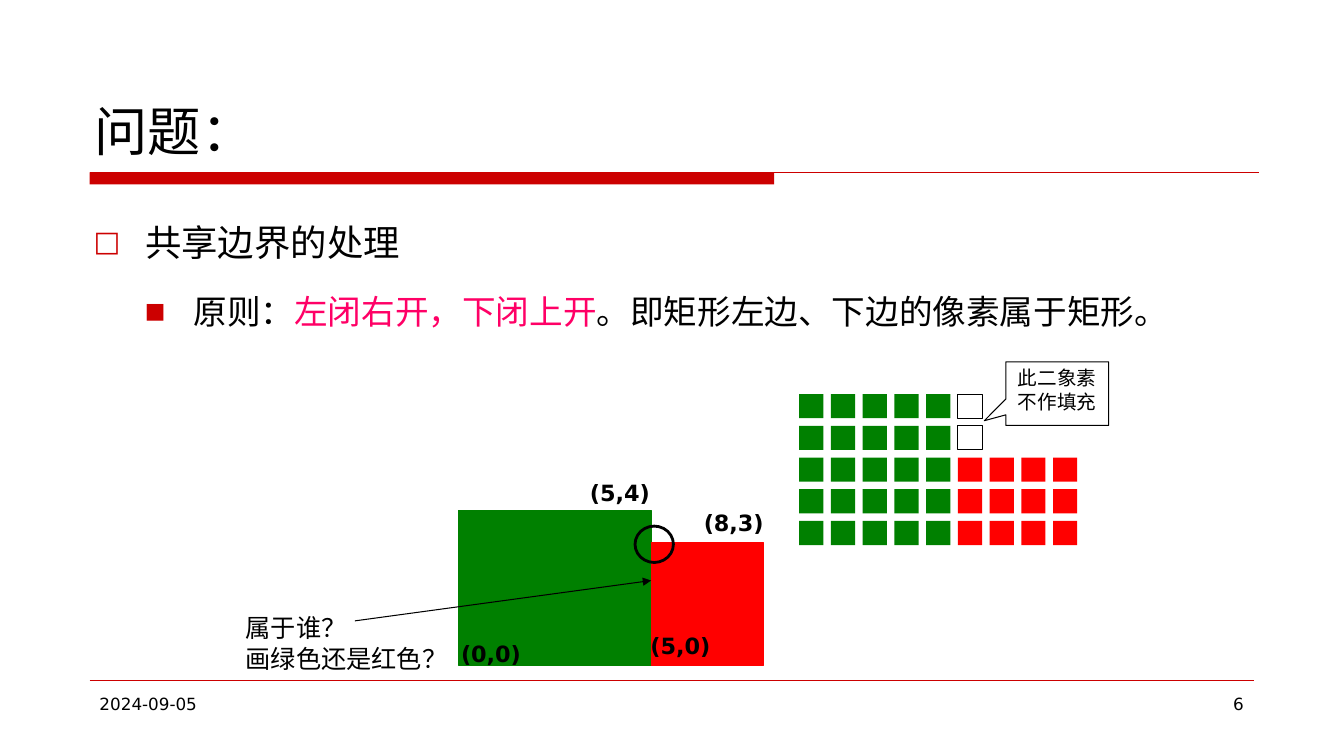
import dataclasses
import pptx
import pptx.util
import pptx.dml.color
import pptx.enum.shapes
import pptx.enum.text
import pptx.oxml
import pptx.oxml.ns
import lxml.etree

Pt = pptx.util.Pt
KIND = pptx.enum.shapes.MSO_SHAPE
ALIGN = pptx.enum.text.PP_ALIGN
ANCHOR = pptx.enum.text.MSO_ANCHOR
qn = pptx.oxml.ns.qn


@dataclasses.dataclass(frozen=True)
class Theme:
    ink: str = "000000"
    paper: str = "FFFFFF"
    rule: str = "CC0000"
    pink: str = "FF0066"
    green: str = "008000"
    red: str = "FF0000"
    sans: str = "DejaVu Sans"
    serif: str = "Times New Roman"
    han: str = "Noto Sans CJK SC"
    title: int = 38
    lead: int = 26
    point: int = 24
    ask: int = 18
    mark: int = 16
    call: int = 14
    foot: int = 12


T = Theme()


def rgb(code):
    return pptx.dml.color.RGBColor.from_string(code)


def put(thing, **values):
    for name, value in values.items():
        setattr(thing, name, value)


def node(parent, tag, **values):
    return lxml.etree.SubElement(parent, qn(tag), **values)


def write(para, text, size, font, color=T.ink, bold=False):
    run = para.add_run()
    run.text = text
    put(run.font, size=Pt(size), name=font, bold=bold)
    run.font.color.rgb = rgb(color)
    node(run.font._element, "a:ea", typeface=T.han)


def label(slide, box, lines, size, font, align=ALIGN.LEFT, bold=False, **frame):
    area = slide.shapes.add_textbox(*map(Pt, box)).text_frame
    put(area, **{"word_wrap": True, **frame})
    for i, line in enumerate(lines):
        para = area.add_paragraph() if i else area.paragraphs[0]
        para.alignment = align
        write(para, line, size, font, bold=bold)


def shape(slide, kind, box, fill=None, line=None, width=0.75):
    item = slide.shapes.add_shape(kind, *map(Pt, box))
    item.shadow.inherit = False
    if fill:
        item.fill.solid()
        item.fill.fore_color.rgb = rgb(fill)
    else:
        item.fill.background()
    if line:
        item.line.color.rgb = rgb(line)
        item.line.width = Pt(width)
    else:
        item.line.fill.background()
    return item


def stroke(slide, ends, color, width, arrow=False):
    item = slide.shapes.add_connector(
        pptx.enum.shapes.MSO_CONNECTOR.STRAIGHT, *map(Pt, ends))
    item.line.color.rgb = rgb(color)
    item.line.width = Pt(width)
    if arrow:
        node(item.line._get_or_add_ln(), "a:tailEnd", type="triangle")
    node(item._element.spPr, "a:effectLst")


# Title with the thick and thin rule beneath it
def head(slide, box):
    x, y, w, h = box
    label(slide, (x - 3.5, y, w + 5, h), ["问题："], T.title, T.han,
          vertical_anchor=ANCHOR.BOTTOM)
    top = y + h + 3.5
    shape(slide, KIND.RECTANGLE, (x, top, 489, 8.6), T.rule)
    stroke(slide, (x, top, x + w, top), T.rule, 0.75)


# Bulleted text at two levels
def body(slide, box):
    area = slide.shapes.add_textbox(*map(Pt, box)).text_frame
    area.word_wrap = True
    items = [
        (0, "□", 78, 36.7, 36.7, T.lead, [("共享边界的处理", T.ink)]),
        (1, "■", 65, 71.3, 34.6, T.point,
         [("原则：", T.ink), ("左闭右开，下闭上开", T.pink),
          ("。即矩形左边、下边的像素属于矩形。", T.ink)]),
    ]
    for level, sign, scale, left, hang, size, runs in items:
        para = area.add_paragraph() if level else area.paragraphs[0]
        put(para, level=level, line_spacing=1.5,
            space_before=Pt(0.2 * size * level))
        props = para._p.get_or_add_pPr()
        props.set("marL", str(Pt(left)))
        props.set("indent", str(-Pt(hang)))
        node(node(props, "a:buClr"), "a:srgbClr", val=T.rule)
        node(props, "a:buSzPct", val=str(scale * 1000))
        node(props, "a:buFont", typeface=T.sans)
        node(props, "a:buChar", char=sign)
        for text, color in runs:
            write(para, text, size, T.han, color)


# Two rectangles sharing an edge, with the question about it
def edge(slide, box):
    x, y, w, h = box
    label(slide, (x, y + 95, 158.4, 50.4), ["属于谁？", "画绿色还是红色？"],
          T.ask, T.serif, word_wrap=False)
    base, mid = y + h, x + 296.6
    shape(slide, KIND.RECTANGLE, (mid - 137.5, base - 110.2, 137.5, 110.2),
          T.green, T.green)
    shape(slide, KIND.RECTANGLE, (mid, base - 87.8, 80, 87.8), T.red, T.red)
    stroke(slide, (x + 85, y + 104.4, mid, y + 75.6), T.ink, 0.75, True)
    shape(slide, KIND.OVAL, (mid - 11.5, y + 36.7, 27.4, 26), None, T.ink, 2)
    marks = [("(0,0)", 159.2, 114.5), ("(5,4)", 251.3, 0),
             ("(5,0)", 294.5, 109.4), ("(8,3)", 332.6, 20.9)]
    for text, dx, dy in marks:
        label(slide, (x + dx, y + dy, 46, 25.9), [text], T.mark, T.sans,
              ALIGN.CENTER, True, word_wrap=False, margin_left=0,
              margin_right=0, vertical_anchor=ANCHOR.MIDDLE)


# Pixel grid and its callout
def grid(slide, box):
    x, y, w, h = box
    side = 17.28
    step = (w - side) / 8
    for row in range(5):
        for col in range(9):
            line = None
            if col < 5:
                fill = T.green
            elif row > 1:
                fill = T.red
            elif col == 5:
                fill, line = T.paper, T.ink
            else:
                continue
            shape(slide, KIND.RECTANGLE,
                  (x + col * step, y + row * step, side, side), fill, line)
    note = shape(slide, KIND.RECTANGULAR_CALLOUT,
                 (x + 147.6, y - 23, 73.4, 45.4), None, T.ink)
    note.adjustments[0], note.adjustments[1] = -0.71, 0.426
    area = note.text_frame
    put(area, word_wrap=True, vertical_anchor=ANCHOR.TOP,
        **{"margin_" + s: Pt(2.9) for s in ("left", "top", "right", "bottom")})
    area.paragraphs[0].alignment = ALIGN.CENTER
    write(area.paragraphs[0], "此二象素不作填充", T.call, T.sans)


# Thin rule, date and page number
def foot(slide, box):
    x, y, w, h = box
    stroke(slide, (x, y, x + w, y), T.rule, 0.25)
    label(slide, (x, y + 5.8, 208, h), ["2024-09-05"], T.foot, T.sans)
    label(slide, (x + w - 208, y + 5.8, 208, h), ["6"], T.foot, T.sans,
          ALIGN.RIGHT)


def main():
    deck = pptx.Presentation()
    put(deck, slide_width=Pt(960), slide_height=Pt(540))
    slide = deck.slides.add_slide(deck.slide_layouts[6])
    head(slide, (64, 23.8, 835.2, 95.8))
    foot(slide, (64, 486, 831.6, 37.4))
    body(slide, (59.8, 138.2, 840.2, 336.2))
    edge(slide, (168.5, 339.1, 377, 136.1))
    grid(slide, (570.9, 281.5, 198.6, 108))
    deck.save("out.pptx")


if __name__ == "__main__":
    main()
